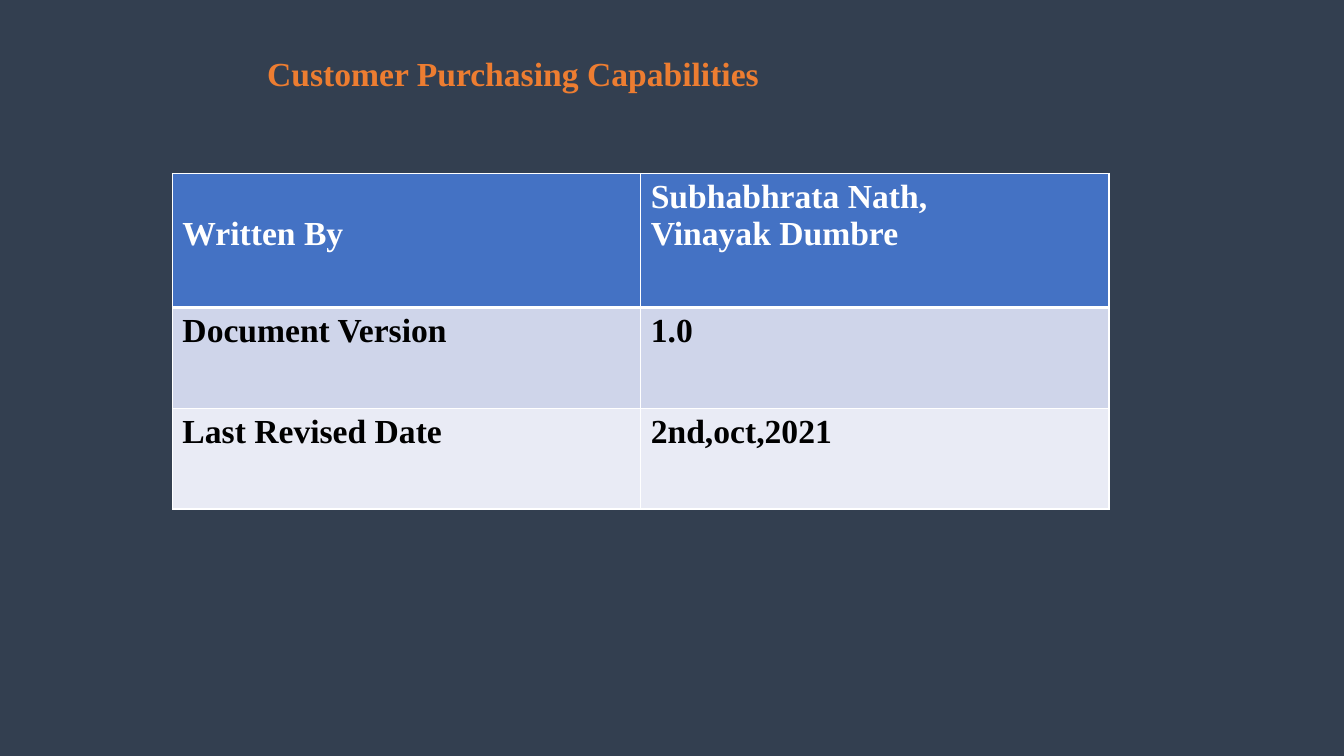
from lxml.etree import SubElement as Sub
from pptx import Presentation
from pptx.dml.color import RGBColor as RGB
from pptx.enum.text import MSO_ANCHOR as Anchor, MSO_AUTO_SIZE as Auto, PP_ALIGN as Align
from pptx.oxml.ns import qn
from pptx.util import Inches, Pt

FONT = {"name": "Times New Roman", "size": Pt(24), "bold": True}
ROWS = [
    # height, fill, text colour, bottom line, cell texts
    (1.33, "4472C4", "FFFFFF", 3, ["Written By", "Subhabhrata Nath,\nVinayak Dumbre"]),
    (1, "CFD5EA", "000000", 1, ["Document Version", "1.0"]),
    (1, "E9EBF5", "000000", 1, ["Last Revised Date", "2nd,oct,2021"]),
]


def paint(target, color):
    target.rgb = RGB.from_string(color)


def write(frame, text, color):
    frame.text = text
    for para in frame.paragraphs:
        para.alignment = Align.LEFT
        for key, value in FONT.items():
            setattr(para.font, key, value)
        paint(para.font.color, color)


def add_edges(cell, widths):
    props = cell._tc.get_or_add_tcPr()
    for side, width in widths.items():
        line = Sub(props, qn(f"a:ln{side}"), w=str(Pt(width)))
        Sub(Sub(line, qn("a:solidFill")), qn("a:srgbClr"), val="FFFFFF")


def add_title(slide, left, top, width, height):
    title = slide.shapes.title
    box = {"left": left, "top": top, "width": width, "height": height}
    for key, value in box.items():
        setattr(title, key, Inches(value))
    frame = title.text_frame
    write(frame, "Customer Purchasing Capabilities", "ED7D31")
    look = {"word_wrap": True, "auto_size": Auto.SHAPE_TO_FIT_TEXT,
            "vertical_anchor": Anchor.TOP}
    for key, value in look.items():
        setattr(frame, key, value)


def add_details(slide, left, top, width, height):
    box = [Inches(n) for n in (left, top, width, height)]
    table = slide.shapes.add_table(len(ROWS), 2, *box).table
    for col in table.columns:
        col.width = Inches(width / 2)
    above = 1
    for r, (tall, fill, color, below, texts) in enumerate(ROWS):
        table.rows[r].height = Inches(tall)
        for c, text in enumerate(texts):
            cell = table.cell(r, c)
            write(cell.text_frame, text, color)
            add_edges(cell, {"L": 1, "R": 1, "T": above, "B": below})
            cell.fill.solid()
            paint(cell.fill.fore_color, fill)
        above = below
    # The first label sits one line lower, beside the second author
    table.cell(0, 0).margin_top = Inches(0.42)


def main():
    deck = Presentation()
    deck.slide_width, deck.slide_height = Inches(13.33), Inches(7.5)
    slide = deck.slides.add_slide(deck.slide_layouts[5])

    # Background
    back = slide.background.fill
    back.solid()
    paint(back.fore_color, "333F50")

    # Heading and document details
    add_title(slide, 2.55, 0.47, 6.56, 0.5)
    add_details(slide, 1.71, 1.72, 9.29, 3.33)
    deck.save("out.pptx")


if __name__ == "__main__":
    main()
